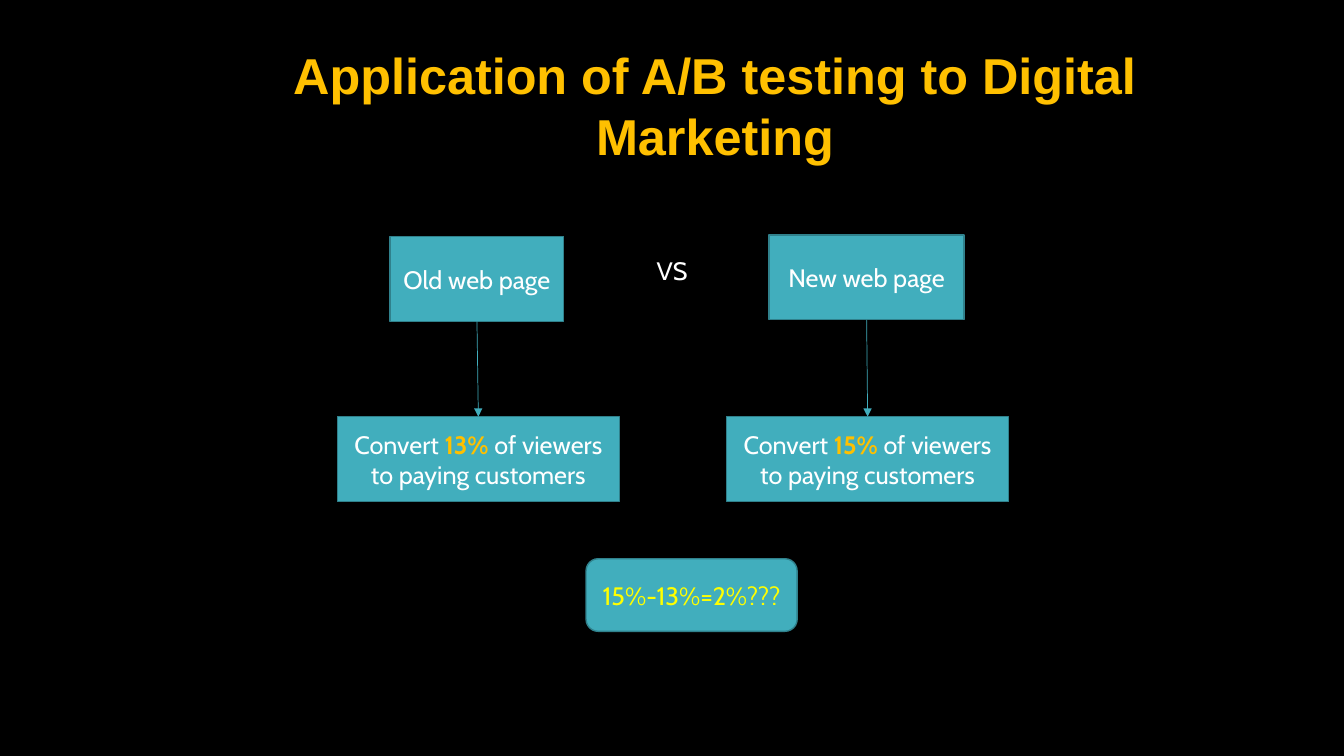
"""Build a slide on applying A/B testing to digital marketing."""
from dataclasses import dataclass

import pptx
import pptx.dml.color
import pptx.enum.shapes
import pptx.enum.text
import pptx.oxml
import pptx.oxml.ns
import pptx.util

Cm = pptx.util.Cm
Pt = pptx.util.Pt
Color = pptx.dml.color.RGBColor.from_string
Shape = pptx.enum.shapes.MSO_SHAPE
Align = pptx.enum.text.PP_ALIGN
Anchor = pptx.enum.text.MSO_ANCHOR


@dataclass(frozen=True)
class Theme:
    background: str = "000000"
    fill: str = "41AEBD"
    outline: str = "30818C"
    text: str = "FFFFFF"
    accent: str = "FFC000"
    question: str = "FFFF00"
    title_font: str = "Arial"
    body_font: str = "Cabin"
    title_size: int = 36
    body_size: int = 18


class SlideBuilder:
    def __init__(self, slide, theme):
        self.slide = slide
        self.theme = theme
        slide.background.fill.solid()
        slide.background.fill.fore_color.rgb = Color(theme.background)

    def style(self, paragraph, color, align=Align.CENTER):
        paragraph.alignment = align
        paragraph.font.name = self.theme.body_font
        paragraph.font.size = Pt(self.theme.body_size)
        paragraph.font.color.rgb = Color(color)

    def title(self, wording, left, top, width, height):
        heading = self.slide.shapes.title
        heading.left, heading.top = Cm(left), Cm(top)
        heading.width, heading.height = Cm(width), Cm(height)
        frame = heading.text_frame
        frame.text = wording
        frame.word_wrap = True
        frame.vertical_anchor = Anchor.TOP
        frame.auto_size = pptx.enum.text.MSO_AUTO_SIZE.NONE
        paragraph = frame.paragraphs[0]
        self.style(paragraph, self.theme.accent)
        paragraph.font.name = self.theme.title_font
        paragraph.font.size = Pt(self.theme.title_size)
        paragraph.font.bold = True

    def label(self, wording, left, top, width, height):
        caption = self.slide.shapes.add_textbox(Cm(left), Cm(top), Cm(width), Cm(height))
        caption.text_frame.word_wrap = True
        caption.text_frame.text = wording
        self.style(caption.text_frame.paragraphs[0], self.theme.text, Align.LEFT)

    def box(self, parts, left, top, width, height, kind=Shape.RECTANGLE, color=None):
        """Draw a box whose second text part, if any, is highlighted."""
        panel = self.slide.shapes.add_shape(kind, Cm(left), Cm(top), Cm(width), Cm(height))
        panel.shadow.inherit = False
        panel.fill.solid()
        panel.fill.fore_color.rgb = Color(self.theme.fill)
        panel.line.color.rgb = Color(self.theme.outline)
        panel.line.width = Pt(1)
        panel.text_frame.word_wrap = True
        panel.text_frame.vertical_anchor = Anchor.MIDDLE
        paragraph = panel.text_frame.paragraphs[0]
        self.style(paragraph, color or self.theme.text)
        for position, wording in enumerate(parts):
            run = paragraph.add_run()
            run.text = wording
            if position == 1:
                run.font.bold = True
                run.font.color.rgb = Color(self.theme.accent)
        return panel

    def arrow(self, page, result):
        link = self.slide.shapes.add_connector(
            pptx.enum.shapes.MSO_CONNECTOR.STRAIGHT, 0, 0, 0, 0)
        link.begin_connect(page, 2)
        link.end_connect(result, 0)
        link.line.color.rgb = Color(self.theme.fill)
        link.line.width = Pt(0.5)
        namespace = pptx.oxml.ns.nsdecls("a")
        link.line._get_or_add_ln().append(
            pptx.oxml.parse_xml(f'<a:tailEnd {namespace} type="triangle"/>'))
        link._element.spPr.append(pptx.oxml.parse_xml(f"<a:effectLst {namespace}/>"))


def main():
    deck = pptx.Presentation()
    deck.slide_width, deck.slide_height = Cm(33.87), Cm(19.05)
    theme = Theme()
    builder = SlideBuilder(deck.slides.add_slide(deck.slide_layouts[5]), theme)
    builder.title("Application of A/B testing to Digital Marketing", 5.74, 0.99, 24.56, 3.33)

    variants = [
        ("Old web page", (9.83, 5.96, 4.38, 2.14), "13%", 8.5),
        ("New web page", (19.38, 5.92, 4.92, 2.14), "15%", 18.31),
    ]
    for name, bounds, rate, result_left in variants:
        page = builder.box([name], *bounds)
        result = builder.box(["Convert ", rate, " of viewers to paying customers"],
                             result_left, 10.5, 7.11, 2.14)
        builder.arrow(page, result)

    builder.label("VS", 16.3, 6.3, 1.73, 1.02)
    builder.box(["15%-13%=2%???"], 14.77, 14.08, 5.32, 1.83,
                Shape.ROUNDED_RECTANGLE, theme.question)
    deck.save("out.pptx")


if __name__ == "__main__":
    main()
